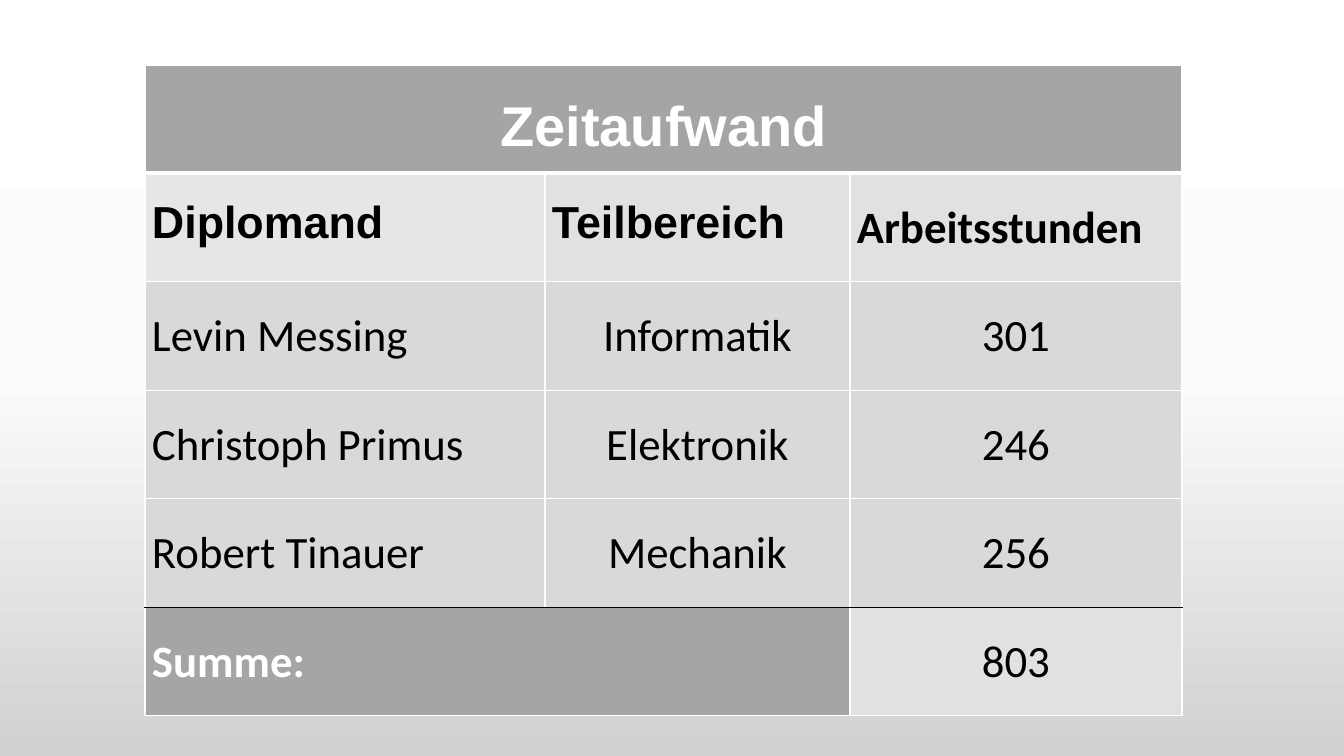
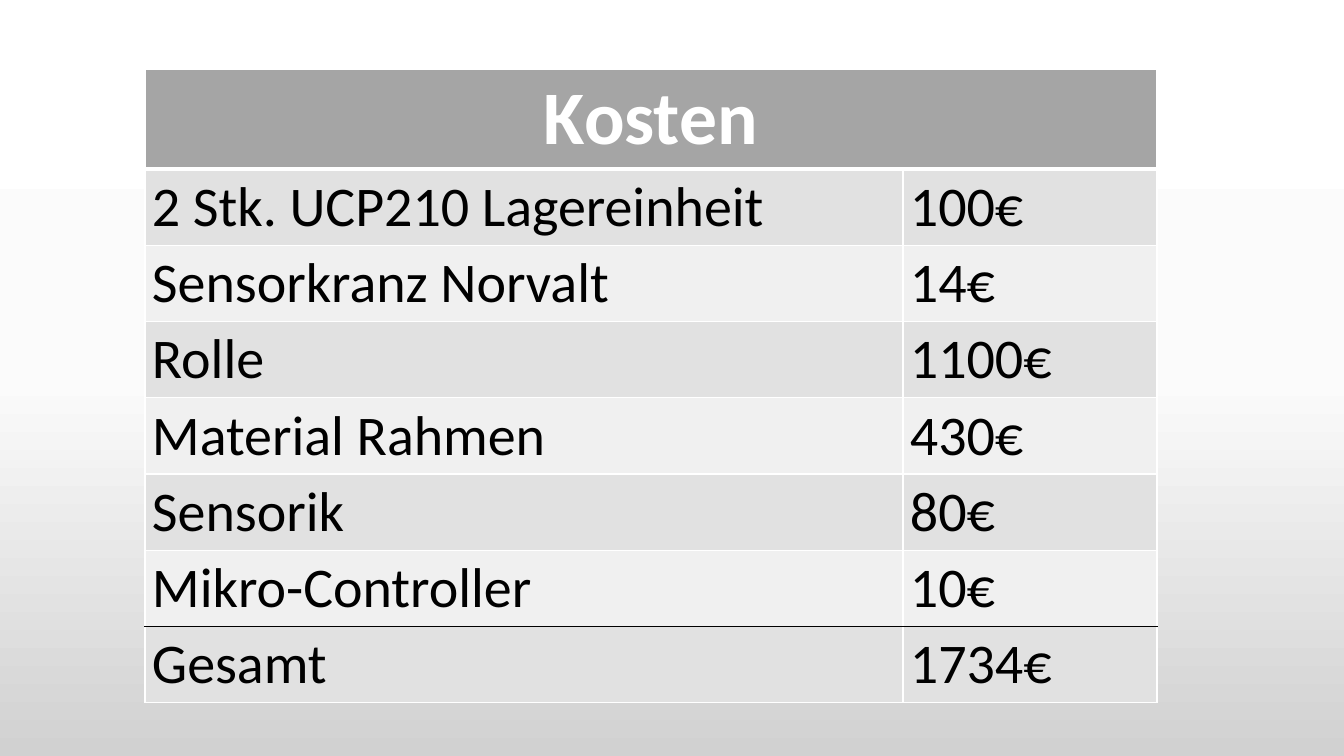
from dataclasses import dataclass, replace

from lxml.etree import SubElement
from pptx import Presentation
from pptx.dml.color import RGBColor
from pptx.enum.text import MSO_ANCHOR, PP_ALIGN
from pptx.oxml.ns import qn
from pptx.util import Emu, Pt

LEFT, MID, JUST = PP_ALIGN.LEFT, PP_ALIGN.CENTER, PP_ALIGN.JUSTIFY


# Colours, fonts and type sizes
@dataclass(frozen=True)
class Theme:
    white: str = "FFFFFF"
    black: str = "000000"
    dark: str = "A5A5A5"
    warm: str = "E7E6E6"
    pale: str = "E1E1E1"
    plain: str = "D9D9D9"
    light: str = "F0F0F0"
    sans: str = "Arial"
    body: str = "Calibri"
    small: int = 32
    large: int = 40
    huge: int = 54
    grad: tuple = ((0, "FFFFFF"), (50, "FBFBFB"), (100, "D1D1D1"))


T = Theme()


# Format of one table cell
@dataclass(frozen=True)
class Look:
    fill: str = T.plain
    color: str = T.black
    font: str = T.body
    size: int = T.small
    bold: bool = False
    align: int = LEFT
    space: float = 1.0


def px(n):
    return Emu(round(n * 12192000 / 1344))


def add_stop(master):
    """Give the master its vertical gradient."""
    fill = master.background.fill
    fill.gradient()
    fill.gradient_angle = 270
    stops = master.element.find(".//" + qn("a:gsLst"))
    for stop in list(stops):
        stops.remove(stop)
    for pos, color in T.grad:
        stop = SubElement(stops, qn("a:gs"), pos=str(pos * 1000))
        SubElement(stop, qn("a:srgbClr"), val=color)


def put_text(frame, text, font, size, color, bold, align, space):
    para = frame.paragraphs[0]
    para.alignment = align
    para.line_spacing = space
    run = para.add_run()
    run.text = text
    run.font.name = font
    run.font.size = Pt(size)
    run.font.bold = bold
    run.font.color.rgb = RGBColor.from_string(color)


def draw_edge(cell, side, color, width):
    line = SubElement(cell._tc.get_or_add_tcPr(), qn("a:ln" + side),
                      w=str(Pt(width)))
    fill = SubElement(line, qn("a:solidFill"))
    SubElement(fill, qn("a:srgbClr"), val=color)


def fill_cell(cell, text, look, above, below, pad):
    edge = (T.white, 1)
    for side, style in zip("LRTB", (edge, edge, above, below)):
        draw_edge(cell, side, *style)
    cell.fill.solid()
    cell.fill.fore_color.rgb = RGBColor.from_string(look.fill)
    cell.margin_left = cell.margin_right = px(7)
    cell.margin_top = cell.margin_bottom = px(pad)
    cell.vertical_anchor = MSO_ANCHOR.TOP
    if text:
        put_text(cell.text_frame, text, look.font, look.size, look.color,
                 look.bold, look.align, look.space)


def add_grid(slide, box, cols, head, rows, pad):
    """Draw rows of (text, look); None joins a cell to the one on its left."""
    left, top, tall = box
    count = len(rows)
    grid = slide.shapes.add_table(count, len(cols), px(left), px(top),
                                  px(sum(cols)), px(tall)).table
    grid.first_row = grid.horz_banding = False
    for col, wide in zip(grid.columns, cols):
        col.width = px(wide)
    for r, row in enumerate(grid.rows):
        row.height = px((tall - head) / (count - 1) if r else head)

    # Thick rule under the heading, black rule over the total
    edges = [(T.white, 1)] * (count + 1)
    edges[1] = (T.white, 3)
    edges[count - 1] = (T.black, 1)

    for r, row in enumerate(rows):
        look, start = None, 0
        for c, item in enumerate(row):
            text = None
            if item:
                (text, look), start = item, c
            fill_cell(grid.cell(r, c), text, look, edges[r], edges[r + 1], pad)
            if c > start and (c + 1 == len(row) or row[c + 1]):
                grid.cell(r, start).merge(grid.cell(r, c))


def add_hours(slide):
    name = Look(align=JUST, space=1.5)
    mid = replace(name, align=MID)
    bold = replace(name, bold=True, fill=T.pale)
    sans = replace(bold, font=T.sans)
    title = replace(sans, fill=T.dark, color=T.white, size=T.large, align=MID)
    work = (("Levin Messing", "Informatik", "301"),
            ("Christoph Primus", "Elektronik", "246"),
            ("Robert Tinauer", "Mechanik", "256"))
    rows = [
        [("Zeitaufwand", title), None, None],
        [("Diplomand", replace(sans, fill=T.warm)), ("Teilbereich", sans),
         ("Arbeitsstunden", bold)],
        *[list(zip(line, (name, mid, mid))) for line in work],
        [("Summe:", replace(bold, fill=T.dark, color=T.white)), None,
         ("803", replace(mid, fill=T.pale))],
    ]
    add_grid(slide, (145, 65, 651), (400, 305, 332), 108, rows, 0)


def add_costs(slide):
    title = Look(fill=T.dark, color=T.white, size=T.huge, bold=True, align=MID)
    bands = [Look(fill=tone, size=T.large) for tone in (T.pale, T.light)]
    costs = (("2 Stk. UCP210 Lagereinheit", "100€"),
             ("Sensorkranz Norvalt", "14€"),
             ("Rolle", "1100€"),
             ("Material Rahmen", "430€"),
             ("Sensorik", "80€"),
             ("Mikro-Controller", "10€"),
             ("Gesamt", "1734€"))
    rows = [[("Kosten", title), None]]
    rows += [[(text, bands[i % 2]) for text in line]
             for i, line in enumerate(costs)]
    add_grid(slide, (145, 69, 631), (758, 254), 99, rows, 4)


def main():
    deck = Presentation()
    deck.slide_width, deck.slide_height = px(1344), px(756)
    add_stop(deck.slide_master)
    blank = deck.slide_layouts[6]
    for build in (add_hours, add_costs):
        build(deck.slides.add_slide(blank))
    deck.save("out.pptx")


if __name__ == "__main__":
    main()
